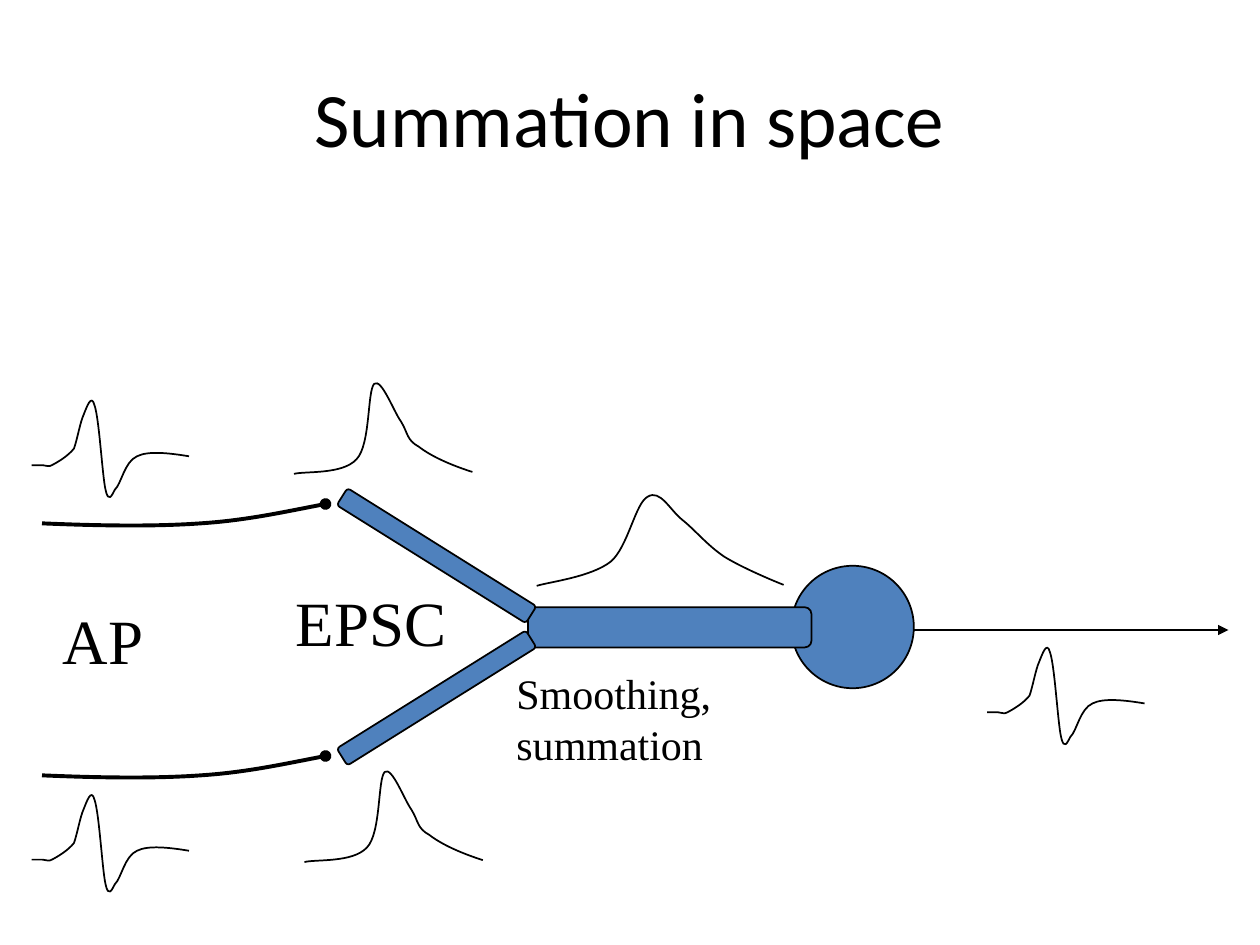
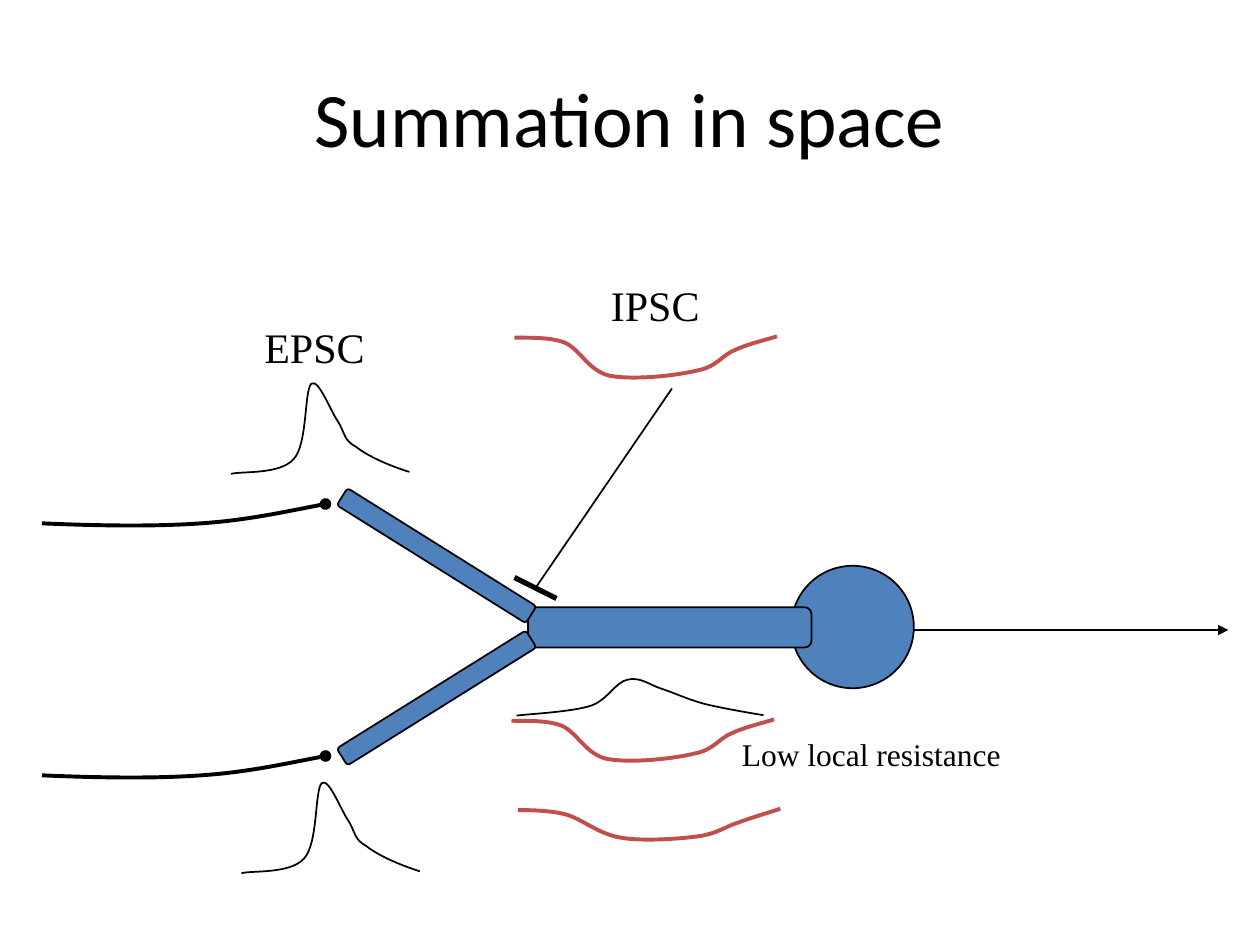
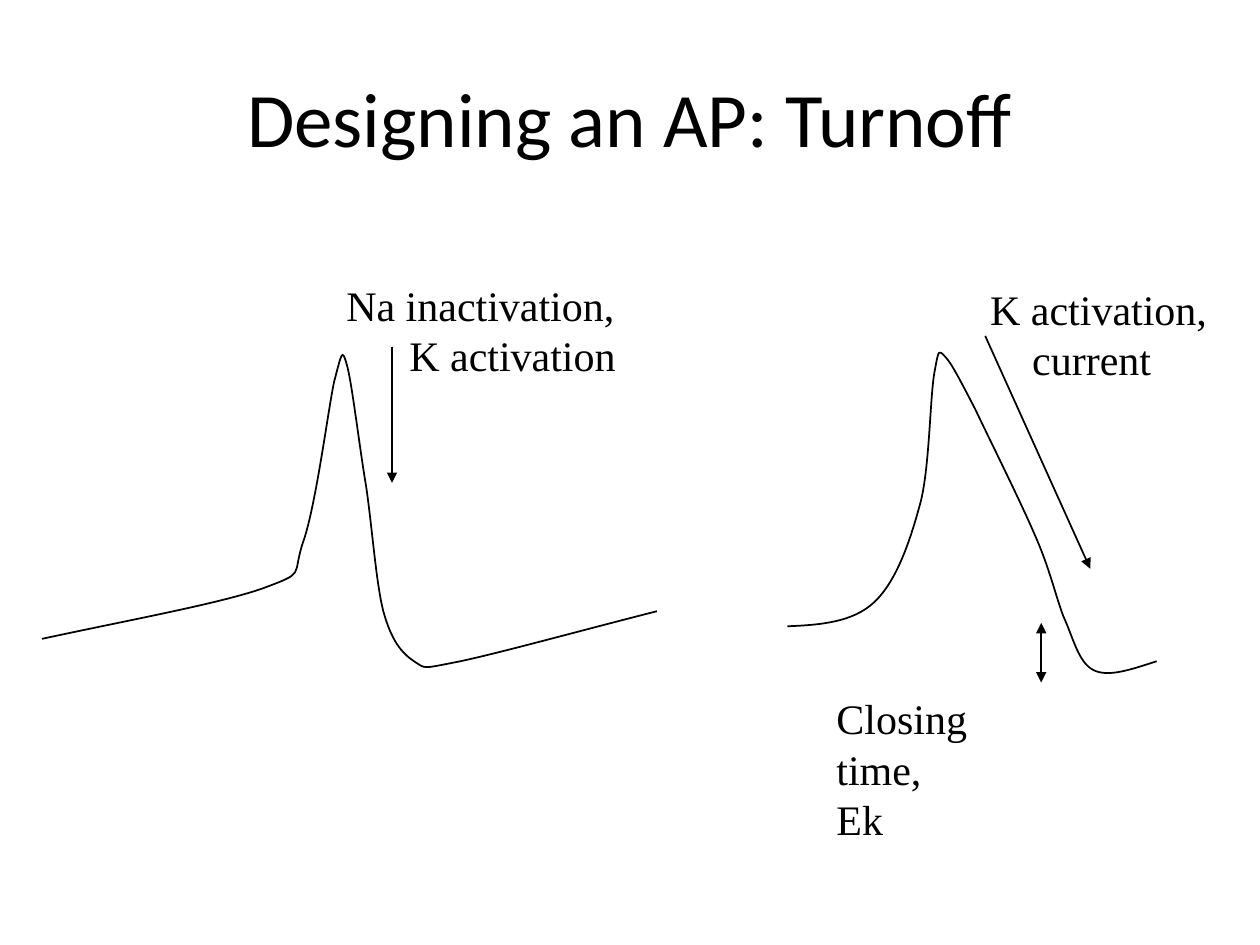
from pptx import Presentation
from pptx.dml.color import RGBColor
from pptx.enum.shapes import MSO_CONNECTOR, MSO_SHAPE
from pptx.enum.text import MSO_ANCHOR, MSO_AUTO_SIZE, PP_ALIGN
from pptx.oxml.ns import qn
from pptx.oxml.xmlchemy import OxmlElement
from pptx.util import Pt

OVAL = MSO_SHAPE.OVAL
ROUND = MSO_SHAPE.ROUNDED_RECTANGLE
STRAIGHT = MSO_CONNECTOR.STRAIGHT
CENTER = PP_ALIGN.CENTER
MIDDLE = MSO_ANCHOR.MIDDLE
GROW = MSO_AUTO_SIZE.SHAPE_TO_FIT_TEXT

COLORS = {"ink": "000000", "cell": "4F81BD", "inhibit": "C0504D"}
HEAD = "Calibri"
BODY = "Times New Roman"

# Bezier points in percent of the box: a start, then three per segment.
EPSC = [(0, 99), (6, 96), (27, 100), (35, 84), (43, 69), (41, 13), (45, 6),
        (49, 0), (56, 35), (60, 45), (64, 57), (63, 64), (70, 71),
        (77, 81), (88, 90), (100, 97)]
SPIKE = [(0, 65), (2, 65), (5, 65), (7, 65), (9, 65), (11, 67), (13, 65),
         (17, 62), (23, 57), (27, 50), (29, 42), (31, 26), (33, 20),
         (35, 13), (38, 0), (40, 11), (43, 23), (45, 75), (47, 87),
         (49, 100), (51, 92), (53, 87), (57, 82), (59, 62), (67, 57),
         (74, 52), (87, 54), (100, 57)]
AXON = [(0, 85), (19, 95), (39, 100), (56, 85), (72, 72), (86, 33), (100, 0)]
SUM = [(0, 100), (5, 96), (22, 91), (30, 75), (37, 60), (40, 14), (45, 8),
       (50, 0), (54, 22), (59, 32), (64, 42), (69, 58), (76, 70),
       (83, 81), (95, 94), (100, 99)]
IPSC = [(0, 3), (3, 4), (13, 0), (19, 14), (25, 29), (28, 77), (36, 89),
        (45, 100), (62, 89), (70, 77), (77, 69), (79, 43), (84, 31),
        (89, 17), (97, 6), (100, 0)]
WEAK = [(0, 4), (3, 4), (13, 4), (19, 19), (25, 35), (31, 77), (39, 88),
        (47, 100), (61, 92), (68, 85), (76, 77), (79, 54), (84, 42),
        (89, 27), (97, 8), (100, 0)]
FAST = [(0, 90.6), (14.3, 84.7), (28.9, 79.6), (35.9, 74.9), (43, 69.8),
        (40.6, 71.4), (42.4, 60.8), (44.5, 49.8), (46.5, 19.6), (47.5, 10.6),
        (48.8, 1.2), (48.8, 0), (49.6, 5.5), (50.4, 11), (51.6, 30.6),
        (52.7, 43.1), (53.7, 56.1), (54.3, 72.9), (55.5, 82), (56.8, 91),
        (58.4, 94.9), (60.5, 97.6), (62.5, 100), (61.5, 100), (68, 97.6),
        (74.6, 94.9), (87.3, 88.2), (100, 82)]
SLOW = [(0, 84.4), (8.9, 84), (17.7, 83.2), (23.5, 77.1), (29.7, 70.6),
        (33.4, 58), (36.2, 46.2), (38.6, 34.7), (38.6, 14.1), (39.9, 6.9),
        (41, 0), (41, 0.8), (42.7, 2.7), (44.4, 4.6), (46.8, 9.9),
        (50.9, 18.7), (54.6, 27.5), (62.8, 45.8), (66.9, 56.5), (71, 66.8),
        (72.4, 74.4), (74.7, 81.3), (77.5, 88.2), (78.8, 95.4), (82.9, 97.7),
        (87, 100), (93.5, 97.3), (100, 95)]

EPSC_SIZE = (102, 55.4)
SPIKE_SIZE = (90, 63.4)
IPSC_SIZE = (150, 25.2)


def color(name):
    return RGBColor.from_string(COLORS[name])


def stroke(shape, name="ink", width=1, head=None, tail=None):
    shape.line.color.rgb = color(name)
    shape.line.width = Pt(width)
    outline = shape.element.spPr.find(qn("a:ln"))
    for tag, kind in (("a:headEnd", head), ("a:tailEnd", tail)):
        if kind:
            end = OxmlElement(tag)
            end.set("type", kind)
            outline.append(end)


def line(slide, start, end, width=1, head=None, tail=None):
    link = slide.shapes.add_connector(
        STRAIGHT, *(Pt(value) for value in (*start, *end)))
    stroke(link, "ink", width, head, tail)
    link.element.spPr.append(OxmlElement("a:effectLst"))


def curve(slide, box, points, name="ink", width=1, tail=None):
    left, top, wide, high = box
    spots = [(Pt(left + wide * x / 100), Pt(top + high * y / 100))
             for x, y in points]
    pen = slide.shapes.build_freeform(*spots[0])
    pen.add_line_segments(spots[1:], close=False)
    shape = pen.convert_to_shape()
    shape.shadow.inherit = False
    shape.fill.background()
    stroke(shape, name, width, tail=tail)
    track = next(shape.element.iter(qn("a:path")))
    steps = track.findall(qn("a:lnTo"))
    for first in range(0, len(steps), 3):
        bend = OxmlElement("a:cubicBezTo")
        for step in steps[first:first + 3]:
            bend.append(step[0])
            track.remove(step)
        track.append(bend)


def label(slide, box, lines, size=24, indent=0):
    area = slide.shapes.add_textbox(*(Pt(value) for value in box))
    frame = area.text_frame
    frame.word_wrap = False
    frame.auto_size = GROW
    frame.text = "\n".join(lines)
    for para in frame.paragraphs:
        para.font.name = BODY
        para.font.size = Pt(size)
        para.font.color.rgb = color("ink")
    if indent:
        frame.paragraphs[-1]._p.get_or_add_pPr().set("marL", str(Pt(indent)))


def title(slide, text):
    area = slide.shapes.add_textbox(Pt(36), Pt(21.6), Pt(648), Pt(90))
    frame = area.text_frame
    frame.word_wrap = True
    frame.vertical_anchor = MIDDLE
    frame.text = text
    para = frame.paragraphs[0]
    para.alignment = CENTER
    para.font.name = HEAD
    para.font.size = Pt(44)
    para.font.color.rgb = color("ink")


def part(slide, kind, box, turn=0):
    shape = slide.shapes.add_shape(kind, *(Pt(value) for value in box))
    shape.shadow.inherit = False
    shape.fill.solid()
    shape.fill.fore_color.rgb = color("cell")
    stroke(shape)
    shape.rotation = turn


def neuron(slide, left, top):
    part(slide, OVAL, (left + 428.2, top + 35.3, 70, 70))
    part(slide, ROUND, (left + 277.7, top + 59, 162, 23))
    for drop, turn in ((23.8, 32), (105.1, 328)):
        part(slide, ROUND, (left + 161.8, top + drop, 127.4, 11.5), turn)
    for drop in (0, 144):
        curve(slide, (left, top + drop, 162, 13), AXON, width=2.25, tail="oval")
    line(slide, (left + 498, top + 72), (left + 678, top + 72), tail="triangle")


def excite(slide):
    title(slide, "Summation in space")
    for spot in ((168, 216), (174, 437.8)):
        curve(slide, spot + EPSC_SIZE, EPSC)
    neuron(slide, 24, 288)
    for spot in ((18, 224.6), (18, 450), (564, 365.8)):
        curve(slide, spot + SPIKE_SIZE, SPIKE)
    label(slide, (28.8, 340, 60.5, 50.4), ["AP"], 36)
    label(slide, (162, 330, 100.8, 50.4), ["EPSC"], 36)
    label(slide, (288, 378, 126, 64.8), ["Smoothing,", "summation"])
    curve(slide, (306.7, 279.4, 141.1, 55.4), SUM)


def inhibit(slide):
    title(slide, "Summation in space")
    for spot in ((132, 216), (138, 444.2)):
        curve(slide, spot + EPSC_SIZE, EPSC)
    neuron(slide, 24, 288)
    label(slide, (144, 180, 72, 36), ["EPSC"])
    line(slide, (294, 330), (318, 342), width=3)
    line(slide, (306, 336), (384, 222))
    label(slide, (342, 156, 65.5, 36), ["IPSC"])
    for spot in ((294, 192.2), (292.3, 411.1)):
        curve(slide, spot + IPSC_SIZE, IPSC, "inhibit", 2.25)
    curve(slide, (295.2, 386.6, 141.1, 22.3), SUM)
    curve(slide, (295.9, 462.2, 150, 18.7), WEAK, "inhibit", 2.25)
    label(slide, (416.9, 416.2, 176.4, 28.8), ["Low local resistance"], 18)


def turnoff(slide):
    title(slide, "Designing an AP: Turnoff")
    curve(slide, (24, 198.7, 351.4, 183.6), FAST)
    label(slide, (190.8, 156, 173.5, 64.8),
          ["Na inactivation,", "K activation"], indent=36)
    line(slide, (224, 198), (224, 276), tail="triangle")
    curve(slide, (450, 198.7, 211, 188.6), SLOW)
    label(slide, (558.7, 158.4, 138.2, 64.8),
          ["K activation,", "current"], indent=24)
    line(slide, (563, 192), (623, 325), tail="triangle")
    label(slide, (470.9, 392.4, 143.3, 64.8), ["Closing time,", "Ek"])
    line(slide, (595, 356), (595, 390), head="triangle", tail="triangle")


def main():
    deck = Presentation()
    deck.slide_width = Pt(720)
    deck.slide_height = Pt(540)
    for build in (excite, inhibit, turnoff):
        build(deck.slides.add_slide(deck.slide_layouts[6]))
    deck.save("out.pptx")


if __name__ == "__main__":
    main()
